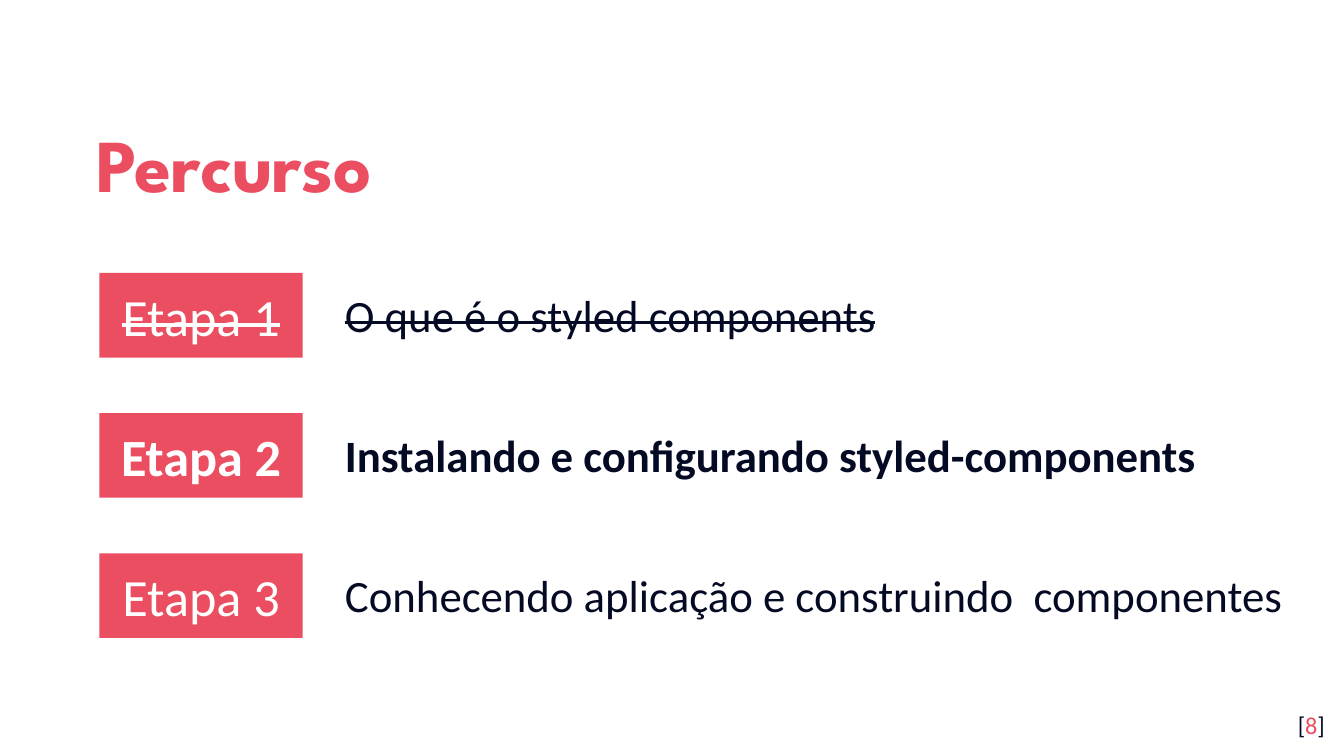
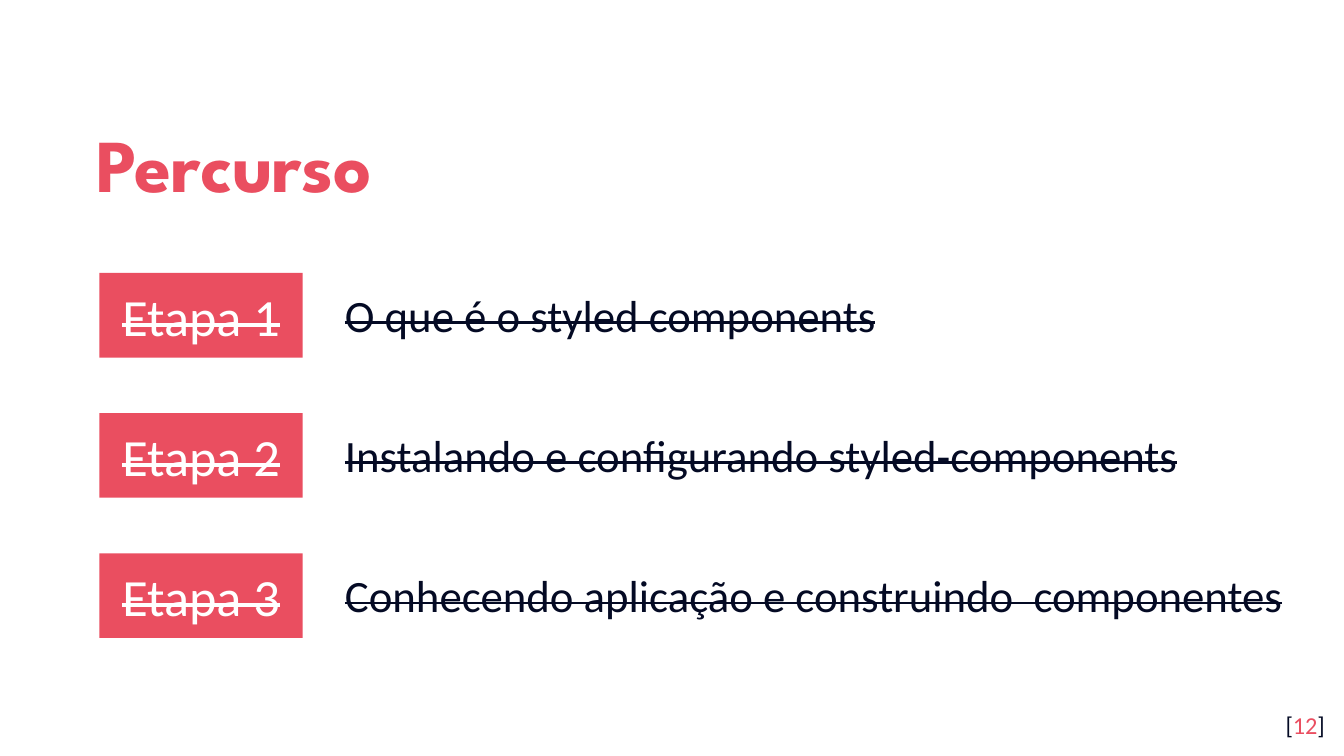
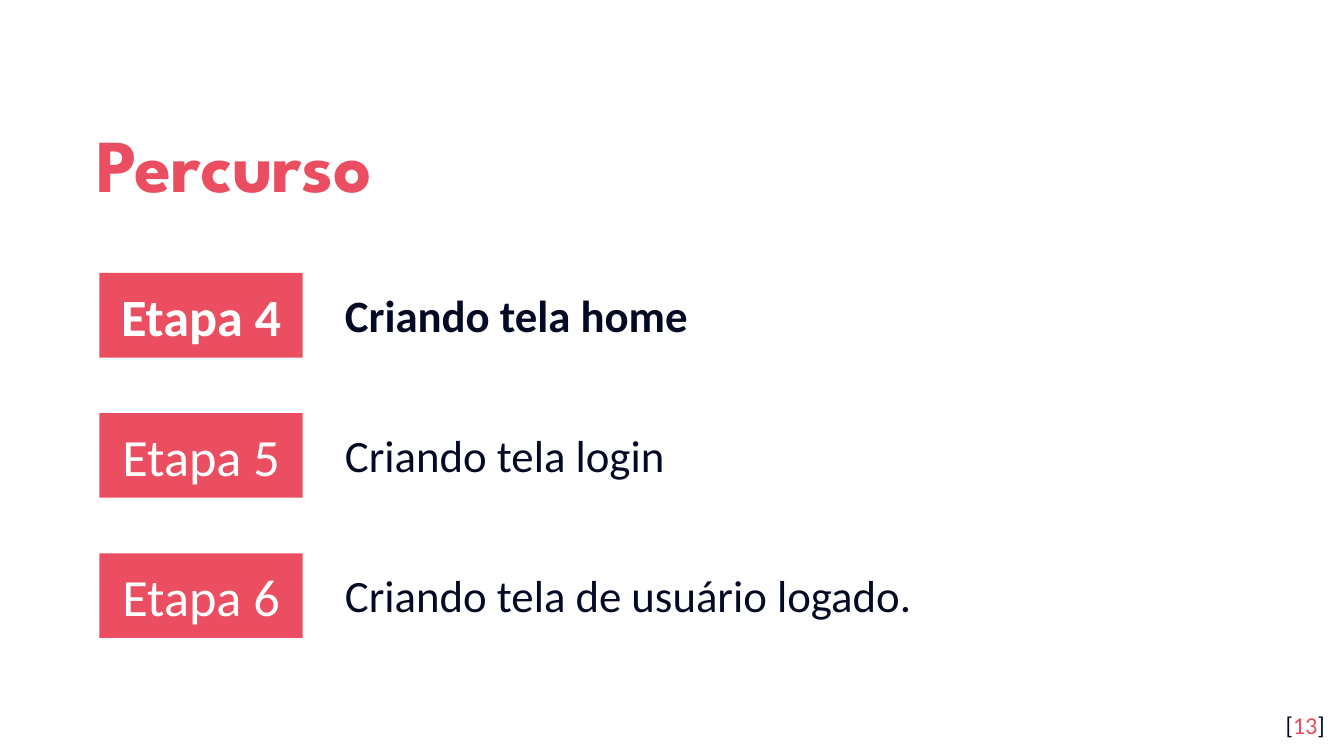
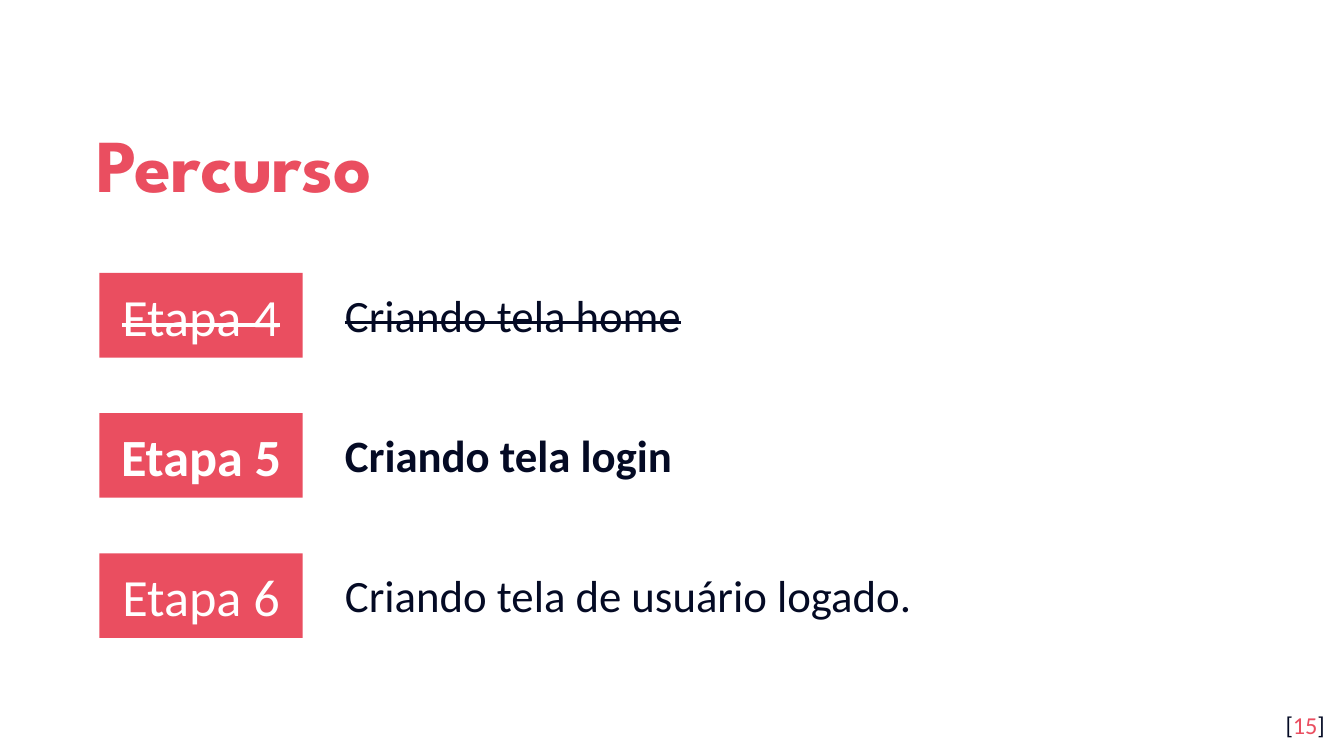
from collections import namedtuple

from pptx import Presentation
from pptx.dml.color import RGBColor
from pptx.enum.shapes import MSO_SHAPE as Preset
from pptx.enum.text import MSO_ANCHOR as Anchor
from pptx.enum.text import MSO_AUTO_SIZE as AutoSize
from pptx.enum.text import PP_ALIGN as Align
from pptx.util import Cm, Pt

COLORS = {"coral": "EA4E60", "navy": "040A24", "white": "FFFFFF"}
BODY_FONT = "Calibri"
TITLE_FONT = "League Spartan"
INSET = 0.25
HANGING = 1.27
TITLE_ONLY = 5

Box = namedtuple("Box", "left top width height")
Stage = namedtuple("Stage", "number topic width height indent")

TITLE_BOX = Box(1.57, 1.78, 20.57, 2.34)
ROUTE_BOX = Box(1.88, 5.16, 23.06, 6.9)
NUMBER_BOX = Box(23.77, 13.18, 1.52, 1.09)
CHIP_WIDTH, CHIP_HEIGHT = 3.84, 1.6
TOPIC_OFFSET = Box(4.39, 0.15, 0, 0)

SETUP_STAGES = [
    Stage(1, "O que é o styled components", 17.15, 1.27, 0),
    Stage(2, "Instalando e configurando styled-components", 17.15, 1.57, HANGING),
    Stage(3, "Conhecendo aplicação e construindo\u00a0 componentes", 18.67, 2.69, HANGING),
]
SCREEN_STAGES = [
    Stage(4, "Criando\u00a0tela\u00a0home", 17.15, 1.27, 0),
    Stage(5, "Criando tela login", 17.15, 1.27, HANGING),
    Stage(6, "Criando\u00a0tela de usuário logado.", 15.62, 2.69, HANGING),
]
SLIDES = [
    (8, SETUP_STAGES, 2),
    (12, SETUP_STAGES, 4),
    (13, SCREEN_STAGES, 4),
    (15, SCREEN_STAGES, 5),
]


def lengths(box):
    """Turn a box in centimetres into the four lengths of a shape."""
    return [Cm(value) for value in box]


def style_frame(frame, anchor, vertical_inset=INSET):
    """Set wrapping, anchor and insets of a text frame."""
    frame.word_wrap = True
    frame.auto_size = AutoSize.NONE
    frame.vertical_anchor = anchor
    frame.margin_left = frame.margin_right = Cm(INSET)
    frame.margin_top = frame.margin_bottom = Cm(vertical_inset)


def style_run(run, size, color, font=BODY_FONT, bold=False, struck=False):
    """Set font, size, colour, weight and strike of a run."""
    run.font.name = font
    run.font.size = Pt(size)
    run.font.bold = bold
    run.font.color.rgb = RGBColor.from_string(COLORS[color])
    if struck:
        run.font._element.set("strike", "sngStrike")


def set_indent(paragraph, indent):
    """Give a paragraph a hanging indent in centimetres."""
    properties = paragraph._p.get_or_add_pPr()
    properties.set("marL", str(Cm(indent)))
    properties.set("indent", str(-Cm(indent)))


def place_title(slide, box, wording):
    """Move the title placeholder to the box and style it."""
    title = slide.shapes.title
    title.left, title.top, title.width, title.height = lengths(box)
    title.text_frame.text = wording
    style_frame(title.text_frame, Anchor.MIDDLE)
    heading = title.text_frame.paragraphs[0]
    heading.alignment = Align.LEFT
    heading.line_spacing = 1.15
    style_run(heading.runs[0], 40, "coral", TITLE_FONT, bold=True)


def place_chip(slide, box, number, **emphasis):
    """Draw the coloured label of a stage."""
    chip = slide.shapes.add_shape(Preset.RECTANGLE, *lengths(box))
    chip.shadow.inherit = False
    chip.fill.solid()
    chip.fill.fore_color.rgb = RGBColor.from_string(COLORS["coral"])
    chip.line.fill.background()
    chip.text_frame.text = f"Etapa {number}"
    style_frame(chip.text_frame, Anchor.MIDDLE)
    label = chip.text_frame.paragraphs[0]
    label.level = 1
    label.alignment = Align.CENTER
    set_indent(label, 0)
    style_run(label.runs[0], 28, "white", **emphasis)


def place_topic(slide, box, stage, **emphasis):
    """Write what a stage is about."""
    topic = slide.shapes.add_textbox(*lengths(box)).text_frame
    topic.text = stage.topic
    style_frame(topic, Anchor.TOP, INSET / 2)
    set_indent(topic.paragraphs[0], stage.indent)
    style_run(topic.paragraphs[0].runs[0], 24, "navy", **emphasis)


def place_route(slide, box, stages, current):
    """Spread the stages evenly down the box, marking done and current ones."""
    pitch = (box.height - CHIP_HEIGHT) / (len(stages) - 1)
    for row, stage in enumerate(stages):
        top = box.top + row * pitch
        emphasis = {"bold": stage.number == current, "struck": stage.number < current}
        chip_box = Box(box.left, top, CHIP_WIDTH, CHIP_HEIGHT)
        topic_box = Box(box.left + TOPIC_OFFSET.left, top + TOPIC_OFFSET.top,
                        stage.width, stage.height)
        place_chip(slide, chip_box, stage.number, **emphasis)
        place_topic(slide, topic_box, stage, **emphasis)


def place_number(slide, box, number):
    """Write the bracketed slide number at the right of the box."""
    frame = slide.shapes.add_textbox(*lengths(box)).text_frame
    style_frame(frame, Anchor.TOP)
    footer = frame.paragraphs[0]
    footer.alignment = Align.RIGHT
    for part, color in (("[", "navy"), (str(number), "coral"), ("]", "navy")):
        run = footer.add_run()
        run.text = part
        style_run(run, 13, color)


def build_deck():
    """Build every route slide and save the deck."""
    deck = Presentation()
    deck.slide_width, deck.slide_height = Cm(25.4), Cm(14.29)
    for number, stages, current in SLIDES:
        slide = deck.slides.add_slide(deck.slide_layouts[TITLE_ONLY])
        place_title(slide, TITLE_BOX, "Percurso")
        place_route(slide, ROUTE_BOX, stages, current)
        place_number(slide, NUMBER_BOX, number)
    deck.save("out.pptx")


build_deck()
